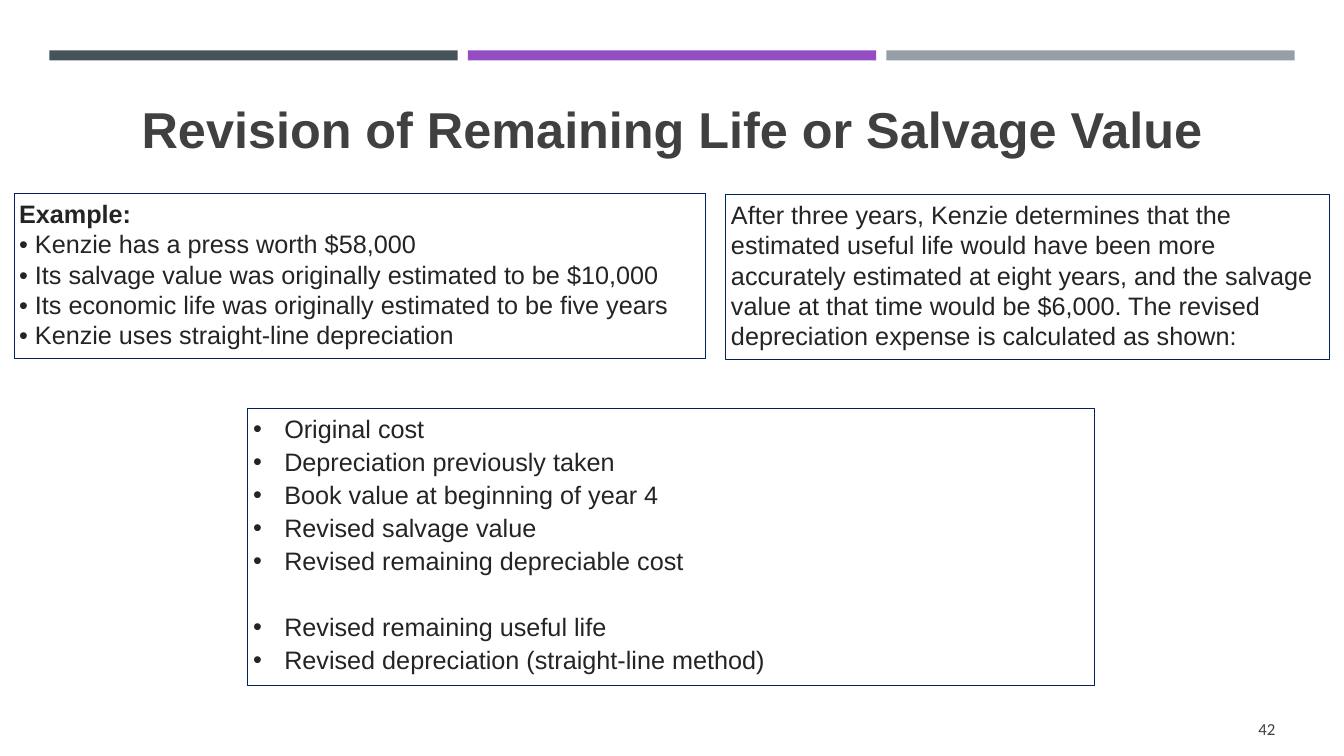
from pptx import Presentation
from pptx.dml.color import RGBColor as Rgb
from pptx.enum.shapes import MSO_SHAPE as Form
from pptx.enum.text import MSO_ANCHOR as Anchor, PP_ALIGN as Align
from pptx.oxml.ns import qn
from pptx.util import Inches as In, Pt
from lxml.etree import SubElement as Sub

theme = {
    "bars": ("465359", "944DC3", "969FA7"),
    "head": "404040", "text": "242424", "edge": "002060",
    "font": "Arial", "small font": "Calibri",
    "title": 36, "body": 18, "page": 12,
}

deck = Presentation()
deck.slide_width, deck.slide_height = In(13.33), In(7.5)
slide = deck.slides.add_slide(deck.slide_layouts[6])


def frame(left, top, wide, high, edge=False):
    """Add a text area, with a thin outline if edge is set."""
    area = [In(n) for n in (left, top, wide, high)]
    if edge:
        box = slide.shapes.add_shape(Form.RECTANGLE, *area)
        box.shadow.inherit = False
        box.fill.background()
        box.line.color.rgb = Rgb.from_string(theme["edge"])
        box.line.width = Pt(0.75)
    else:
        box = slide.shapes.add_textbox(*area)
    body = box.text_frame
    body.word_wrap = True
    body.vertical_anchor = Anchor.TOP if edge else Anchor.MIDDLE
    body.margin_left = body.margin_right = In(0.05)
    body.margin_top = body.margin_bottom = In(0.05)
    return body


def write(body, lines, size="body", color="text", font="font", align=Align.LEFT):
    """Write one paragraph per line and return the paragraphs."""
    for i, line in enumerate(lines):
        para = body.add_paragraph() if i else body.paragraphs[0]
        para.alignment = align
        run = para.add_run()
        run.text = line
        run.font.name = theme[font]
        run.font.size = Pt(theme[size])
        run.font.color.rgb = Rgb.from_string(theme[color])
    return body.paragraphs


# Three bars across the top
bar, gap, edge = 4.05, 0.1, 0.49
for i, color in enumerate(theme["bars"]):
    strip = slide.shapes.add_shape(
        Form.RECTANGLE, In(edge + i * (bar + gap)), In(0.5), In(bar), In(0.1))
    strip.shadow.inherit = False
    strip.fill.solid()
    strip.fill.fore_color.rgb = Rgb.from_string(color)
    strip.line.fill.background()

# Title
title = write(frame(0.64, 0.62, 12.06, 1.3),
              ["Revision of Remaining Life or Salvage Value"],
              "title", "head", align=Align.CENTER)
title[0].runs[0].font.bold = True

# Example facts
facts = write(frame(0.14, 1.92, 6.86, 1.64, True), [
    "Example:",
    "• Kenzie has a press worth $58,000",
    "• Its salvage value was originally estimated to be $10,000",
    "• Its economic life was originally estimated to be five years",
    "• Kenzie uses straight-line depreciation",
])
facts[0].runs[0].font.bold = True

# Revised estimate
write(frame(7.2, 1.93, 5.99, 1.64, True), [
    "After three years, Kenzie determines that the estimated useful life "
    "would have been more accurately estimated at eight years, and the "
    "salvage value at that time would be $6,000. The revised depreciation "
    "expense is calculated as shown:",
])

# Calculation steps, with a gap before the useful life
steps = write(frame(2.46, 4.05, 8.4, 2.75, True), [
    "Original cost",
    "Depreciation previously taken",
    "Book value at beginning of year 4",
    "Revised salvage value",
    "Revised remaining depreciable cost",
    "Revised remaining useful life",
    "Revised depreciation (straight-line method)",
])
for i, step in enumerate(steps):
    step.space_before = Pt(25.6 if i == 5 else 2)
    props = step._p.get_or_add_pPr()
    props.set("marL", str(In(0.31)))
    props.set("indent", str(-In(0.31)))
    Sub(props, qn("a:buFont")).set("typeface", theme["font"])
    Sub(props, qn("a:buChar")).set("char", "•")

# Page number
page = frame(12.4, 7.08, 0.3, 0.29)
page.word_wrap = False
write(page, ["42"], "page", "head", "small font", Align.RIGHT)

deck.save("out.pptx")
